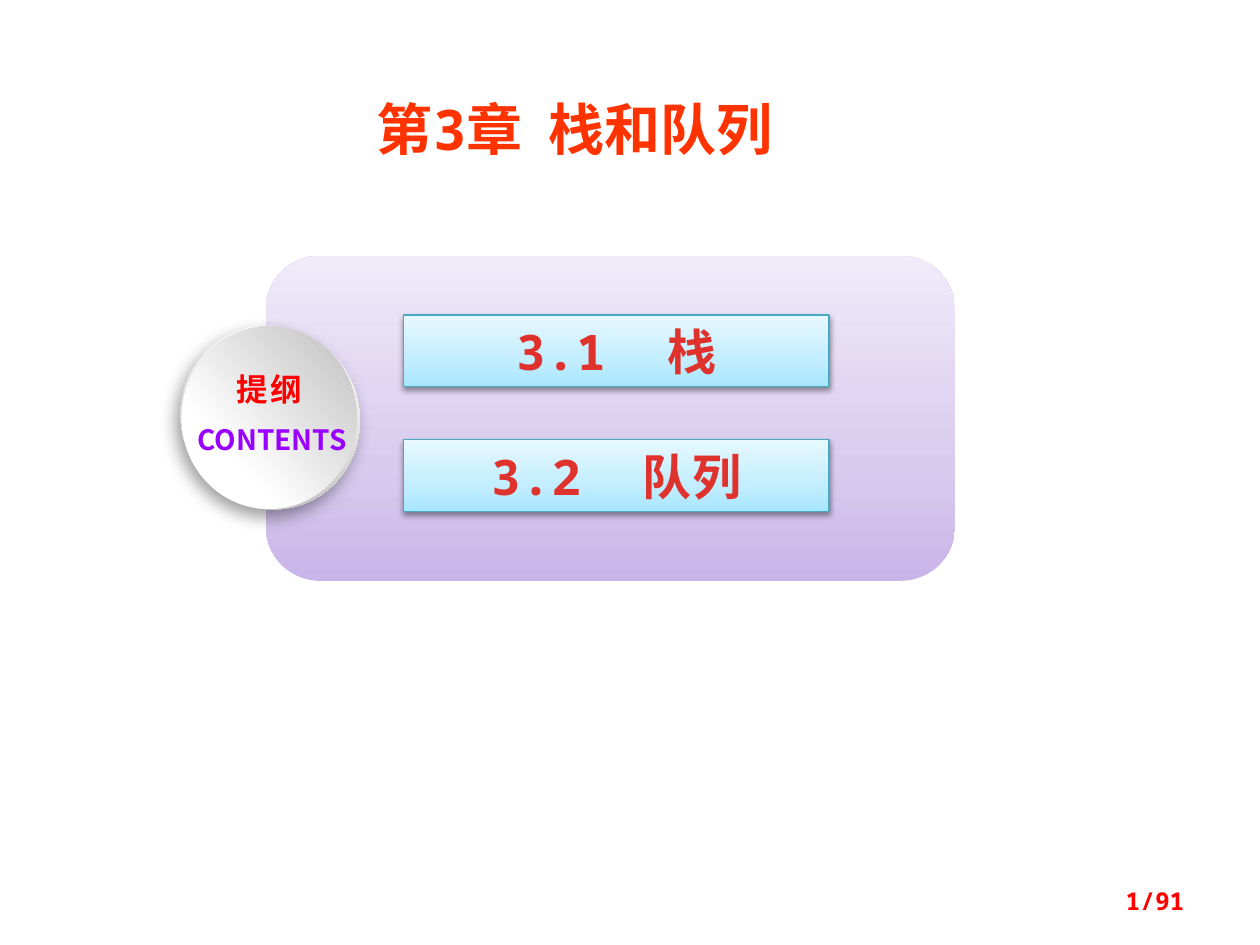
from dataclasses import dataclass

from lxml import etree
from pptx import Presentation
from pptx.dml.color import RGBColor
from pptx.enum.shapes import MSO_SHAPE
from pptx.enum.text import MSO_ANCHOR, PP_ALIGN
from pptx.oxml.ns import qn
from pptx.util import Pt

RECTANGLE = MSO_SHAPE.RECTANGLE
ROUNDED = MSO_SHAPE.ROUNDED_RECTANGLE
OVAL = MSO_SHAPE.OVAL
MIDDLE = MSO_ANCHOR.MIDDLE
CENTER = PP_ALIGN.CENTER
RIGHT = PP_ALIGN.RIGHT


@dataclass(frozen=True)
class Theme:
    mono: str = "Noto Sans Mono"
    sans: str = "Noto Sans CJK SC"
    white: str = "FFFFFF"
    title: str = "FF3300"
    section: str = "E0322D"
    red: str = "FF0000"
    purple: str = "9900FF"
    section_line: str = "46AAC5"
    panel_stops: tuple = ((0, "C9B5E8"), (35, "D8CBEE"), (100, "F0EAF9"))
    section_stops: tuple = ((0, "A7E6FF"), (35, "C1EDFF"), (100, "E7F8FF"))
    rim_stops: tuple = ((17, "FFFFFF"), (88, "B8B8B8"))
    face_stops: tuple = ((29, "FFFFFF"), (98, "BFBFBF"))
    title_size: int = 32
    section_size: int = 28
    outline_size: int = 18
    contents_size: int = 16
    page_size: int = 14


THEME = Theme()


def add_child(parent, tag, **attributes):
    values = {name: str(value) for name, value in attributes.items()}
    return etree.SubElement(parent, qn(tag), values)


def set_gradient(shape, stops, angle):
    """Fill with (percent, colour) stops; the angle runs clockwise in degrees."""
    shape.fill.background()
    properties = shape.element.spPr
    gradient = etree.Element(qn("a:gradFill"), rotWithShape="1")
    stop_list = add_child(gradient, "a:gsLst")
    for percent, color in stops:
        stop = add_child(stop_list, "a:gs", pos=percent * 1000)
        add_child(stop, "a:srgbClr", val=color)
    add_child(gradient, "a:lin", ang=angle * 60000, scaled=0)
    properties.replace(properties.find(qn("a:noFill")), gradient)


def set_shadow(shape, blur, distance, direction, opacity):
    effects = shape.element.spPr.find(qn("a:effectLst"))
    shadow = add_child(effects, "a:outerShdw", blurRad=Pt(blur), dist=Pt(distance),
                       dir=direction * 60000, algn="ctr", rotWithShape=0)
    color = add_child(shadow, "a:srgbClr", val="000000")
    add_child(color, "a:alpha", val=opacity * 1000)


def add_plain_shape(slide, kind, box):
    """Add a shape without outline or shadow."""
    shape = slide.shapes.add_shape(kind, *map(Pt, box))
    shape.shadow.inherit = False
    shape.line.fill.background()
    return shape


def set_line(shape, color, width):
    shape.line.color.rgb = RGBColor.from_string(color)
    shape.line.width = Pt(width)


def write_text(shape, text, font_name, size, color, align=CENTER, spacing=0, right_inset=0):
    frame = shape.text_frame
    frame_format = {
        "word_wrap": True, "vertical_anchor": MIDDLE, "margin_left": 0,
        "margin_top": 0, "margin_bottom": 0, "margin_right": Pt(right_inset),
    }
    for name, value in frame_format.items():
        setattr(frame, name, value)
    paragraph = frame.paragraphs[0]
    paragraph.alignment = align
    run = paragraph.add_run()
    run.text = text
    for name, value in {"name": font_name, "size": Pt(size), "bold": True}.items():
        setattr(run.font, name, value)
    run.font.color.rgb = RGBColor.from_string(color)
    properties = run.font._element
    add_child(properties, "a:ea", typeface=THEME.sans)
    if spacing:
        properties.set("spc", str(int(spacing * 100)))


def add_label(slide, box, *text_format, **options):
    write_text(slide.shapes.add_textbox(*map(Pt, box)), *text_format, **options)


def add_title(slide, text):
    shape = add_plain_shape(slide, RECTANGLE, (180, 50.4, 303.84, 46.08))
    shape.fill.solid()
    shape.fill.fore_color.rgb = RGBColor.from_string(THEME.white)
    set_line(shape, THEME.white, 2)
    write_text(shape, text, THEME.mono, THEME.title_size, THEME.title, right_inset=7.2)


def add_panel(slide):
    panel = add_plain_shape(slide, ROUNDED, (151.92, 146.16, 393.84, 185.76))
    set_gradient(panel, THEME.panel_stops, 270)


def add_section(slide, top, text):
    bar = add_plain_shape(slide, RECTANGLE, (230.4, top, 243.36, 41.04))
    set_gradient(bar, THEME.section_stops, 270)
    set_line(bar, THEME.section_line, 0.75)
    set_shadow(bar, 3.1, 1.6, 90, 38)
    write_text(bar, text, THEME.mono, THEME.section_size, THEME.section, spacing=0.5)


def add_disc(slide, box, rotation, stops):
    disc = add_plain_shape(slide, OVAL, box)
    disc.rotation = rotation
    set_gradient(disc, stops, 45)
    return disc


def add_badge(slide):
    rim = add_disc(slide, (101.52, 187.92, 105.84, 101.52), 62.3, THEME.rim_stops)
    set_shadow(rim, 10, 5, 123, 39)
    add_disc(slide, (101.52, 188.64, 104.4, 100.08), 273, THEME.face_stops)
    add_label(slide, (97.2, 237.6, 116.64, 26.64), "CONTENTS",
              THEME.sans, THEME.contents_size, THEME.purple)
    add_label(slide, (125.28, 208.08, 57.6, 28.8), "提纲",
              THEME.sans, THEME.outline_size, THEME.red, spacing=1.5)


def main():
    presentation = Presentation()
    presentation.slide_width, presentation.slide_height = Pt(720), Pt(540)
    slide = presentation.slides.add_slide(presentation.slide_layouts[6])
    add_panel(slide)
    add_title(slide, "第3章  栈和队列")
    for index, text in enumerate(("3.1  栈", "3.2  队列")):
        add_section(slide, 180 + index * 71.28, text)
    add_label(slide, (516.24, 500.4, 167.76, 28.8), "1/91", THEME.mono,
              THEME.page_size, THEME.red, align=RIGHT, right_inset=7.2)
    add_badge(slide)
    presentation.save("out.pptx")


if __name__ == "__main__":
    main()
